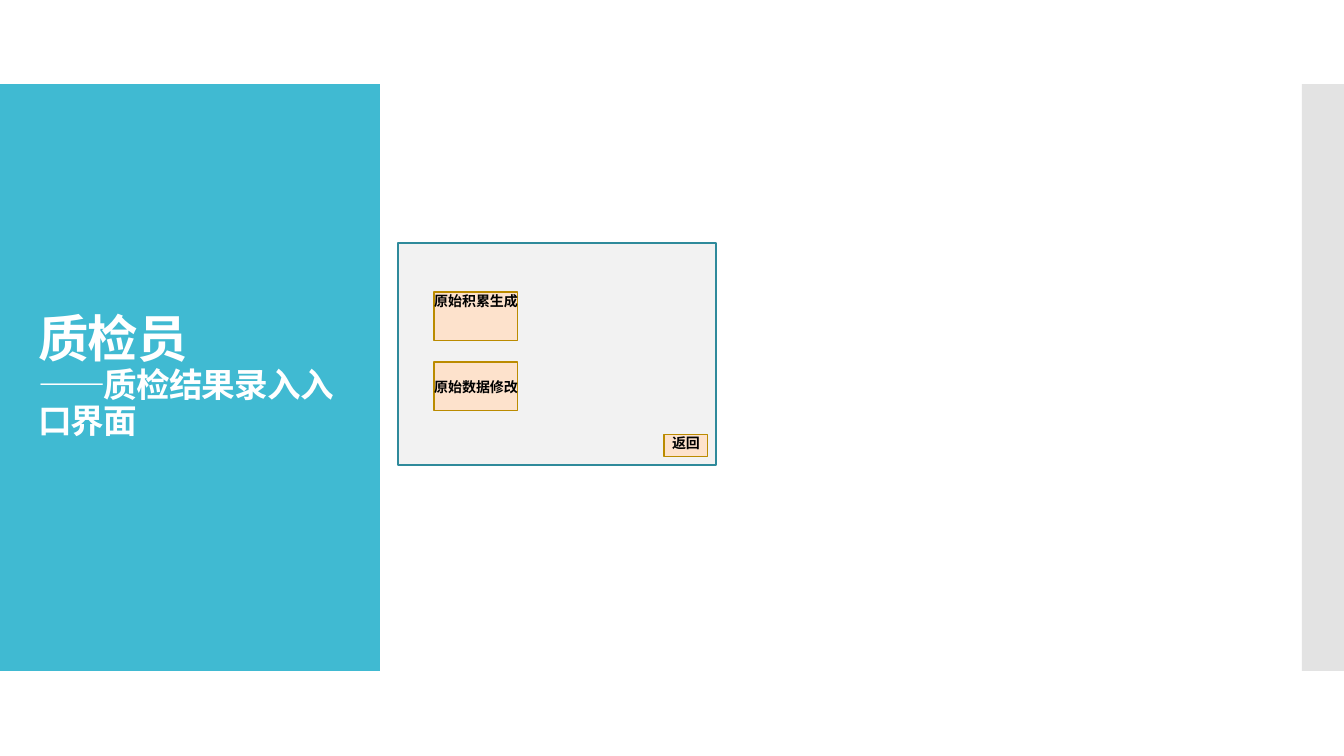
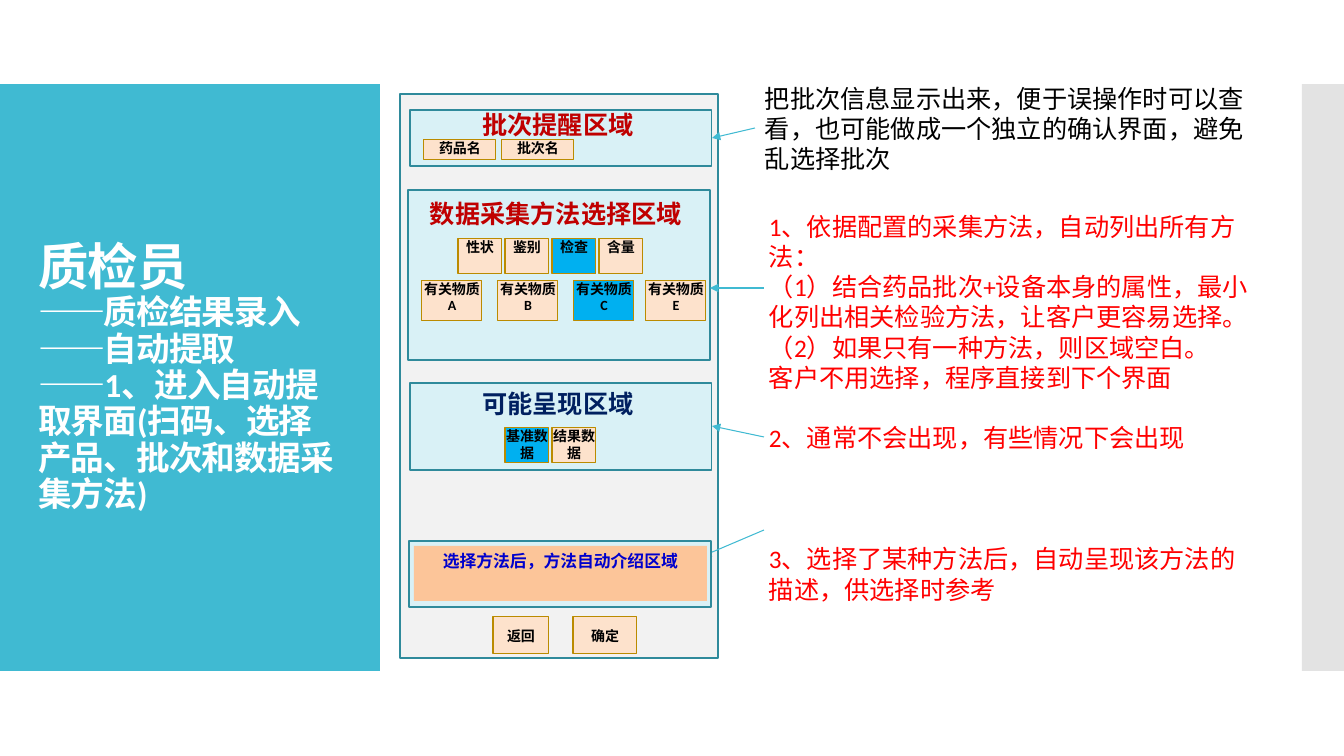
from lxml.etree import SubElement
from pptx import Presentation
from pptx.dml.color import RGBColor
from pptx.enum.lang import MSO_LANGUAGE_ID
from pptx.enum.shapes import MSO_CONNECTOR, MSO_SHAPE
from pptx.enum.text import MSO_ANCHOR, MSO_AUTO_SIZE, PP_ALIGN
from pptx.oxml.ns import qn
from pptx.util import Emu, Pt

EMU_PER_PIXEL = 914400 / 100.8
FONT = "Calibri"
WHITE = RGBColor(0xFF, 0xFF, 0xFF)
BLACK = RGBColor(0x00, 0x00, 0x00)
RED = RGBColor(0xFF, 0x00, 0x00)
DARK_RED = RGBColor(0xC0, 0x00, 0x00)
NAVY = RGBColor(0x00, 0x20, 0x60)
BLUE = RGBColor(0x00, 0x00, 0xCC)
TEAL = RGBColor(0x40, 0xBA, 0xD2)
TEAL_EDGE = RGBColor(0x2F, 0x8A, 0x9B)
GREY = RGBColor(0xC8, 0xC8, 0xC8)
SCREEN_GREY = RGBColor(0xF2, 0xF2, 0xF2)
ZONE_BLUE = RGBColor(0xD9, 0xF1, 0xF6)
PEACH = RGBColor(0xFD, 0xE2, 0xCC)
ORANGE = RGBColor(0xFC, 0xC5, 0x99)
GOLD_EDGE = RGBColor(0xBB, 0x8B, 0x00)
CHOSEN_BLUE = RGBColor(0x00, 0xB0, 0xF0)


def px(*lengths):
    """Turn pixel lengths into EMU."""
    return [Emu(round(length * EMU_PER_PIXEL)) for length in lengths]


class Deck:
    """Holds the deck style and the slide being built."""

    def __init__(self):
        """Set the slide size and pick the title-only layout."""
        self.prs = Presentation()
        self.prs.slide_width, self.prs.slide_height = px(1344, 756)
        self.layout = self.prs.slide_layouts[5]
        self.slide = None

    def add_bands(self):
        """Move the two side bands into the layout, behind its placeholders."""
        teal_band = self.rect((0, 84, 380, 587), TEAL)
        grey_band = self.rect((1302, 84, 42, 587), GREY)
        tint = grey_band.fill._xPr.find(qn("a:solidFill"))[0]
        SubElement(tint, qn("a:alpha"), val="50000")
        for band in (grey_band, teal_band):
            self.layout.shapes.element.insert(2, band.element)

    def new_slide(self, role, *subtitles):
        """Start a slide with its role and subtitle lines in the title."""
        self.slide = self.prs.slides.add_slide(self.layout)
        title = self.slide.shapes.title
        title.left, title.top, title.width, title.height = px(28, 124, 325, 507)
        frame = title.text_frame
        frame.word_wrap = True
        frame.auto_size = MSO_AUTO_SIZE.NONE
        frame.vertical_anchor = MSO_ANCHOR.MIDDLE
        heading = frame.paragraphs[0]
        heading.alignment = PP_ALIGN.LEFT
        heading.line_spacing = 0.9
        self.run(heading, role, 36, WHITE, True, spacing=-60)
        for subtitle in subtitles:
            heading.add_line_break()
            self.run(heading, subtitle, 24, WHITE, True, spacing=-60)

    def run(self, paragraph, words, size, color, bold=False, spacing=None):
        """Add one formatted run to a paragraph."""
        run = paragraph.add_run()
        run.text = words
        font = run.font
        font.name, font.size, font.bold = FONT, Pt(size), bold
        font.color.rgb = color
        font.language_id = MSO_LANGUAGE_ID.SIMPLIFIED_CHINESE
        if spacing is not None:
            font._rPr.set("spc", str(spacing))

    def rect(self, box, fill, edge=None, weight=0.85):
        """Draw a flat rectangle, with an edge if a colour is given."""
        shape = self.slide.shapes.add_shape(MSO_SHAPE.RECTANGLE, *px(*box))
        shape.shadow.inherit = False
        shape.fill.solid()
        shape.fill.fore_color.rgb = fill
        if edge is None:
            shape.line.fill.background()
        else:
            shape.line.color.rgb = edge
            shape.line.width = Pt(weight)
        return shape

    def screen(self, box):
        """Draw the background of a mocked-up screen."""
        self.rect(box, SCREEN_GREY, TEAL_EDGE)

    def zone(self, box, name=None, color=None, drop=0):
        """Draw a screen zone and its name, lowered by drop pixels."""
        self.rect(box, ZONE_BLUE, TEAL_EDGE)
        if name:
            left, top = box[:2]
            self.note((left + 8, top + drop, 280, 40), [(name, 0)], color,
                      bold=True, align=PP_ALIGN.CENTER)

    def button(self, box, label, fill=PEACH, anchor=MSO_ANCHOR.TOP, inset=0):
        """Draw a button with a small bold label."""
        frame = self.rect(box, fill, GOLD_EDGE, 0.75).text_frame
        frame.word_wrap = True
        frame.vertical_anchor = anchor
        frame.margin_left = frame.margin_right = frame.margin_bottom = 0
        frame.margin_top = px(inset)[0]
        frame.paragraphs[0].alignment = PP_ALIGN.CENTER
        self.run(frame.paragraphs[0], label, 10, BLACK, True)

    def button_row(self, labels, lefts, top, size, chosen=None):
        """Draw a row of buttons, the chosen one highlighted."""
        for label, left in zip(labels, lefts):
            fill = CHOSEN_BLUE if label == chosen else PEACH
            self.button((left, top, *size), label, fill)

    def banner(self, box, words):
        """Draw the filled strip that introduces a method."""
        frame = self.rect(box, ORANGE).text_frame
        frame.word_wrap = True
        frame.vertical_anchor = MSO_ANCHOR.TOP
        frame.paragraphs[0].alignment = PP_ALIGN.CENTER
        self.run(frame.paragraphs[0], words, 12, BLUE, True)

    def note(self, box, lines, color, bold=False, align=PP_ALIGN.LEFT):
        """Write paragraphs, each given with the points of space before it."""
        frame = self.slide.shapes.add_textbox(*px(*box)).text_frame
        frame.word_wrap = True
        for index, (words, gap) in enumerate(lines):
            paragraph = frame.add_paragraph() if index else frame.paragraphs[0]
            paragraph.alignment = align
            paragraph.space_before = Pt(gap)
            self.run(paragraph, words, 18, color, bold)

    def arrow(self, start, end):
        """Draw a thin arrow from a note to its zone."""
        line = self.slide.shapes.add_connector(
            MSO_CONNECTOR.STRAIGHT, *px(*start, *end))
        line.line.color.rgb = TEAL
        line.line.width = Pt(0.75)
        SubElement(line.line._get_or_add_ln(), qn("a:tailEnd"), type="triangle")
        SubElement(line.element.spPr, qn("a:effectLst"))


def build_entry(deck):
    """Build the entry screen for inspection results."""
    deck.new_slide("质检员", "——质检结果录入入口界面")
    deck.add_bands()
    deck.screen((398, 243, 318, 222))
    deck.button((664, 435, 44, 22), "返回")
    deck.button((434, 292, 84, 49), "原始积累生成")
    deck.button((434, 362, 84, 49), "原始数据修改", inset=16)


def build_extraction(deck):
    """Build the automatic extraction screen and its notes."""
    deck.new_slide("质检员", "——质检结果录入", "——自动提取",
                   "——1、进入自动提取界面(扫码、选择产品、批次和数据采集方法)"
                   .replace("(", "(").replace(")", ")"))
    deck.screen((400, 94, 318, 564))
    deck.button((493, 617, 56, 37), "返回", anchor=MSO_ANCHOR.MIDDLE)
    deck.button((573, 617, 64, 37), "确定", anchor=MSO_ANCHOR.MIDDLE)

    deck.zone((410, 110, 302, 56), "批次提醒区域", DARK_RED, drop=-6)
    deck.button_row(["药品名", "批次名"], [424, 502], 140, (72, 20))

    deck.zone((408, 190, 302, 170), "数据采集方法选择区域", DARK_RED, drop=3)
    small = (44, 35)
    deck.button_row(["性状", "鉴别", "检查", "含量"], range(458, 600 + 1, 47),
                    239, small, chosen="检查")
    deck.button_row([f"有关物质{letter}" for letter in "ABCE"],
                    [422, 498, 574, 646], 280, (60, 41), chosen="有关物质C")

    deck.zone((410, 383, 302, 87), "可能呈现区域", NAVY)
    deck.button_row(["基准数据", "结果数据"], [505, 552], 428, small,
                    chosen="基准数据")

    for start, end in [((755, 128), (712, 138)), ((764, 288), (710, 288)),
                       ((764, 437), (712, 426)), ((764, 530), (703, 556))]:
        deck.arrow(start, end)

    deck.zone((409, 541, 302, 66))
    deck.banner((414, 546, 293, 55), "选择方法后,方法自动介绍区域".replace(",", "\uff0c"))

    comma, colon, left, right = "\uff0c", "\uff1a", "\uff08", "\uff09"
    deck.note((755, 78, 506, 102), [
        (f"把批次信息显示出来{comma}便于误操作时可以查看{comma}"
         f"也可能做成一个独立的确认界面{comma}避免乱选择批次", 0)], BLACK)
    line = 21.6
    deck.note((759, 206, 502, 407), [
        (f"1、依据配置的采集方法{comma}自动列出所有方法{colon}", 0),
        (f"{left}1{right}结合药品批次+设备本身的属性{comma}"
         f"最小化列出相关检验方法{comma}让客户更容易选择。", 0),
        (f"{left}2{right}如果只有一种方法{comma}则区域空白。", 0),
        (f"客户不用选择{comma}程序直接到下个界面", 0),
        (f"2、通常不会出现{comma}有些情况下会出现", line),
        (f"3、选择了某种方法后{comma}自动呈现该方法的描述{comma}供选择时参考",
         3 * line)], RED)


deck = Deck()
build_entry(deck)
build_extraction(deck)
deck.prs.save("out.pptx")
